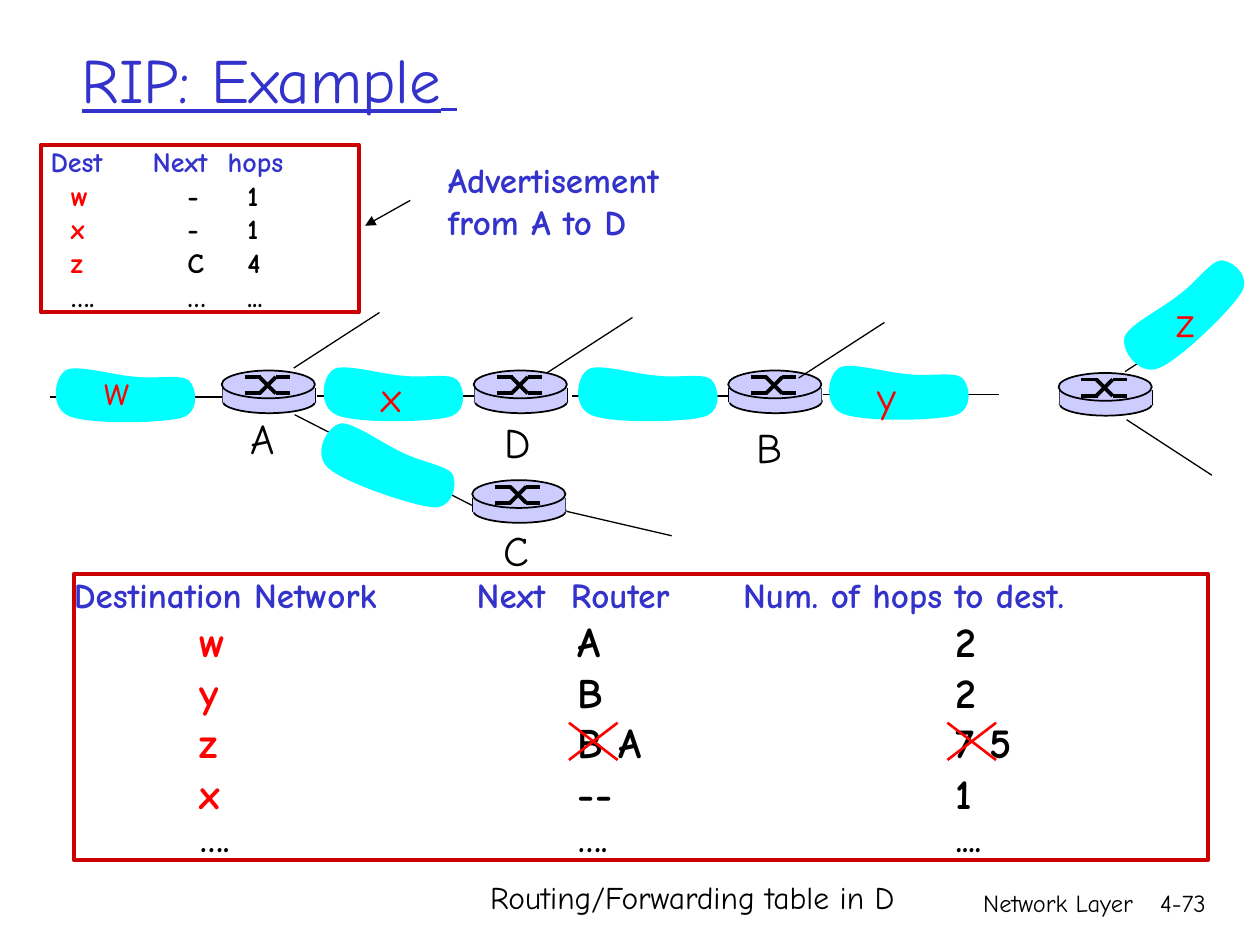
from lxml import etree
from pptx import Presentation
from pptx.dml.color import RGBColor
from pptx.enum import shapes, text
from pptx.oxml import ns
from pptx.util import Cm, Pt

FONT = "Comic Neue"
COLORS = {"black": "000000", "blue": "3333CC", "red": "FF0000",
          "border": "CC0000", "cloud": "00FFFF", "router": "CCCCFF"}
LEFT, RIGHT = text.PP_ALIGN.LEFT, text.PP_ALIGN.RIGHT
CLOUD_SIZE = (3.05, 1.22)
CLOUD_CURVE = [(.57, .21), (.43, .19), (.18, 0), (.11, .1),
               (.03, .21), (0, .73), (.13, .86),
               (.26, 1), (.73, .98), (.87, .89),
               (1, .8), (.97, .38), (.92, .27),
               (.87, .16), (.7, .25), (.57, .21)]


def rgb(name):
    """Return the named colour."""
    return RGBColor.from_string(COLORS[name])


def write(p, words, size=24, color="black", bold=False, underline=False):
    """Add a formatted run to a paragraph."""
    r = p.add_run()
    r.text = words
    f = r.font
    f.name, f.size, f.bold, f.underline = FONT, Pt(size), bold, underline
    f.color.rgb = rgb(color)


def add_text(s, box, *lines, align=LEFT, wrap=False, **fmt):
    """Add a text box with one paragraph per line."""
    tf = s.shapes.add_textbox(*map(Cm, box)).text_frame
    tf.word_wrap = wrap
    for i, line in enumerate(lines):
        p = tf.add_paragraph() if i else tf.paragraphs[0]
        p.alignment = align
        write(p, line, **fmt)


def style(sp, fill=None, line=None, width=1):
    """Set fill and outline of a shape and drop its shadow."""
    sp.shadow.inherit = False
    if fill:
        sp.fill.solid()
        sp.fill.fore_color.rgb = rgb(fill)
    else:
        sp.fill.background()
    if line:
        sp.line.color.rgb = rgb(line)
        sp.line.width = Pt(width)
    else:
        sp.line.fill.background()


def add_shape(s, kind, x, y, w, h, **look):
    """Add a styled preset shape."""
    sp = s.shapes.add_shape(kind, Cm(x), Cm(y), Cm(w), Cm(h))
    style(sp, **look)
    return sp


def add_line(s, x1, y1, x2, y2, width=.75, color="black", arrow=False):
    """Add a straight line, with an arrowhead at its end if asked."""
    c = s.shapes.add_connector(shapes.MSO_CONNECTOR.STRAIGHT,
                               Cm(x1), Cm(y1), Cm(x2), Cm(y2))
    c.line.color.rgb = rgb(color)
    c.line.width = Pt(width)
    if arrow:
        etree.SubElement(c.line._get_or_add_ln(), ns.qn("a:tailEnd"), type="triangle")
    etree.SubElement(c._element.spPr, ns.qn("a:effectLst"))


def add_cloud(s, x, y, rotation=0):
    """Add a subnet outline, turning each three segments into one Bézier curve."""
    w, h = CLOUD_SIZE
    points = [(Cm(x + w * px), Cm(y + h * py)) for px, py in CLOUD_CURVE]
    fb = s.shapes.build_freeform(*points[0])
    fb.add_line_segments(points[1:], close=True)
    sp = fb.convert_to_shape()
    segments = list(sp._element.iter(ns.qn("a:lnTo")))
    for i in range(0, len(CLOUD_CURVE) - 1, 3):
        curve = etree.Element(ns.qn("a:cubicBezTo"))
        segments[i].addprevious(curve)
        for segment in segments[i:i + 3]:
            curve.append(segment[0])
            segment.getparent().remove(segment)
    style(sp, fill="cloud")
    sp.rotation = rotation


def add_router(s, x, y):
    """Draw a router cylinder with its crossing paths."""
    oval, rect = shapes.MSO_SHAPE.OVAL, shapes.MSO_SHAPE.RECTANGLE
    add_shape(s, oval, x + .02, y + .38, 1.87, .48, fill="router", line="black")
    for side in (x + .02, x + 1.88):
        add_line(s, side, y + .35, side, y + .64, width=1)
    add_shape(s, rect, x + .02, y + .35, 1.86, .3, fill="router")
    add_shape(s, oval, x, y, 1.88, .56, fill="router", line="black")
    for start, end in ((.13, .46), (.46, .13)):
        for x1, y1, x2, y2 in ((.46, start, .79, start), (.76, start, 1.09, end),
                               (1.09, end, 1.37, end)):
            add_line(s, x + x1, y + y1, x + x2, y + y2, width=2.25)


def add_network(s, x, y):
    """Draw links, routers, subnets and their names."""
    for lx, ly in ((0, 2.3), (5.4, 2.28), (10.53, 2.28), (15.59, 2.25)):
        add_line(s, x + lx, y + ly, x + lx + 3.55, y + ly, width=1)
    for rx, ry in ((8.55, 1.77), (3.47, 1.77), (8.52, 3.98), (13.68, 1.77), (20.34, 1.82)):
        add_router(s, x + rx, y + ry)
    stubs = [(sx, sy, sx + 1.73, sy - 1.12)
             for sx, sy in ((4.92, 1.72), (10.02, 1.82), (15.1, 1.92), (21.68, 1.79))]
    stubs += [(21.71, 2.76, 23.43, 3.88), (4.94, 2.66, 8.52, 4.49), (10.43, 4.61, 12.54, 5.1)]
    for x1, y1, x2, y2 in stubs:
        add_line(s, x + x1, y + y1, x + x2, y + y2)
    for cx, cy, turn in ((5.4, 1.62, 0), (5.3, 3.09, 19.7), (0, 1.64, 0),
                         (10.53, 1.62, 0), (15.59, 1.59, 0), (21.35, .02, -43.2)):
        add_cloud(s, x + cx, y + cy, turn)
    for name, nx, ny in (("w", .85, 1.51), ("x", 6.44, 1.64), ("y", 16.45, 1.64),
                         ("z", 22.47, .14), ("A", 3.8, 2.5), ("C", 8.91, 4.74),
                         ("D", 8.93, 2.58), ("B", 14.01, 2.68)):
        add_text(s, (x + nx, y + ny, 1, 1.27), name,
                 color="red" if name.islower() else "black")


def set_tabs(p, stops):
    """Give a paragraph left tab stops."""
    tabs = etree.SubElement(p._p.get_or_add_pPr(), ns.qn("a:tabLst"))
    for stop in stops:
        etree.SubElement(tabs, ns.qn("a:tab"), pos=str(Cm(stop)), algn="l")


def add_listing(s, box, header, rows, header_stops, row_stops, small, large):
    """Draw a framed listing whose columns follow tab stops."""
    sp = add_shape(s, shapes.MSO_SHAPE.RECTANGLE, *box, line="border", width=2.25)
    tf = sp.text_frame
    tf.margin_left = tf.margin_top = tf.margin_right = tf.margin_bottom = 0
    tf.vertical_anchor = text.MSO_ANCHOR.TOP
    tf.word_wrap = True
    for i, cells in enumerate([header] + rows):
        p = tf.add_paragraph() if i else tf.paragraphs[0]
        p.alignment = LEFT
        stops = row_stops if i else header_stops
        set_tabs(p, stops)
        lead = "\t" if len(stops) == len(cells) else ""
        size = large if 0 < i < len(rows) else small
        first = "blue" if not i else "red" if i < len(rows) else "black"
        write(p, lead + cells[0], size=size, color=first, bold=True)
        write(p, "\t" + "\t".join(cells[1:]), size=size,
              color="black" if i else "blue", bold=True)


def add_strike(s, x, y, w, h):
    """Cross out an outdated value."""
    for y1, y2 in ((y, y + h), (y + h, y)):
        add_line(s, x, y1, x + w, y2, width=1.5, color="red")


def add_routing_table(s, x, y, w, h):
    """Draw the routing table with its outdated values struck out."""
    add_listing(s, (x, y, w, h),
                ["Destination Network", "Next", "Router", "Num. of hops to dest."],
                [["w", "A", "2"], ["y", "B", "2"], ["z", "B A", "7 5"],
                 ["x", "--", "1"], ["….", "….", "...."]],
                (8.12, 10.02, 13.49), (2.54, 10.16, 17.78), 20, 24)
    for sx in (9.98, 17.61):
        add_strike(s, x + sx, y + 3, .98, .75)


def add_advertisement(s, x, y, w, h):
    """Draw the advertised listing, its label and the arrow between them."""
    add_listing(s, (x, y, w, h), ["Dest", "Next", "hops"],
                [["w", "-", "1"], ["x", "-", "1"], ["z", "C", "4"], ["….", "…", "..."]],
                (.19, 2.25, 3.76), (.6, 2.95, 4.16), 16, 16)
    add_text(s, (x + 7.95, y + .15, 4.78, 1.96), "Advertisement", "from A to D",
             size=20, color="blue", bold=True)
    add_line(s, x + 7.44, y + 1.12, x + 6.53, y + 1.63, arrow=True)


def add_title(s, x, y, w, h):
    """Place and format the slide title."""
    sp = s.shapes.title
    sp.left, sp.top, sp.width, sp.height = map(Cm, (x, y, w, h))
    tf = sp.text_frame
    tf.auto_size = text.MSO_AUTO_SIZE.NONE
    tf.vertical_anchor = text.MSO_ANCHOR.MIDDLE
    p = tf.paragraphs[0]
    p.alignment = LEFT
    write(p, "RIP: Example", size=36, color="blue", underline=True)
    write(p, " ", size=28, color="blue", underline=True)


def main():
    """Build the slide and save it."""
    prs = Presentation()
    prs.slide_width, prs.slide_height = Cm(25.4), Cm(19.05)
    s = prs.slides.add_slide(prs.slide_layouts[5])
    add_title(s, 1.39, -.02, 21.59, 3.18)
    add_network(s, 1, 5.7)
    add_advertisement(s, .83, 2.92, 6.4, 3.38)
    add_routing_table(s, 1.49, 11.57, 22.86, 5.77)
    add_text(s, (9.63, 17.58, 8.76, 1.02), "Routing/Forwarding table in D", size=18)
    for words, x, w in (("Network Layer", 15.04, 8.05), ("4-73", 22.68, 1.88)):
        add_text(s, (x, 17.78, w, 1.27), words, size=14, align=RIGHT, wrap=True)
    prs.save("out.pptx")


if __name__ == "__main__":
    main()
